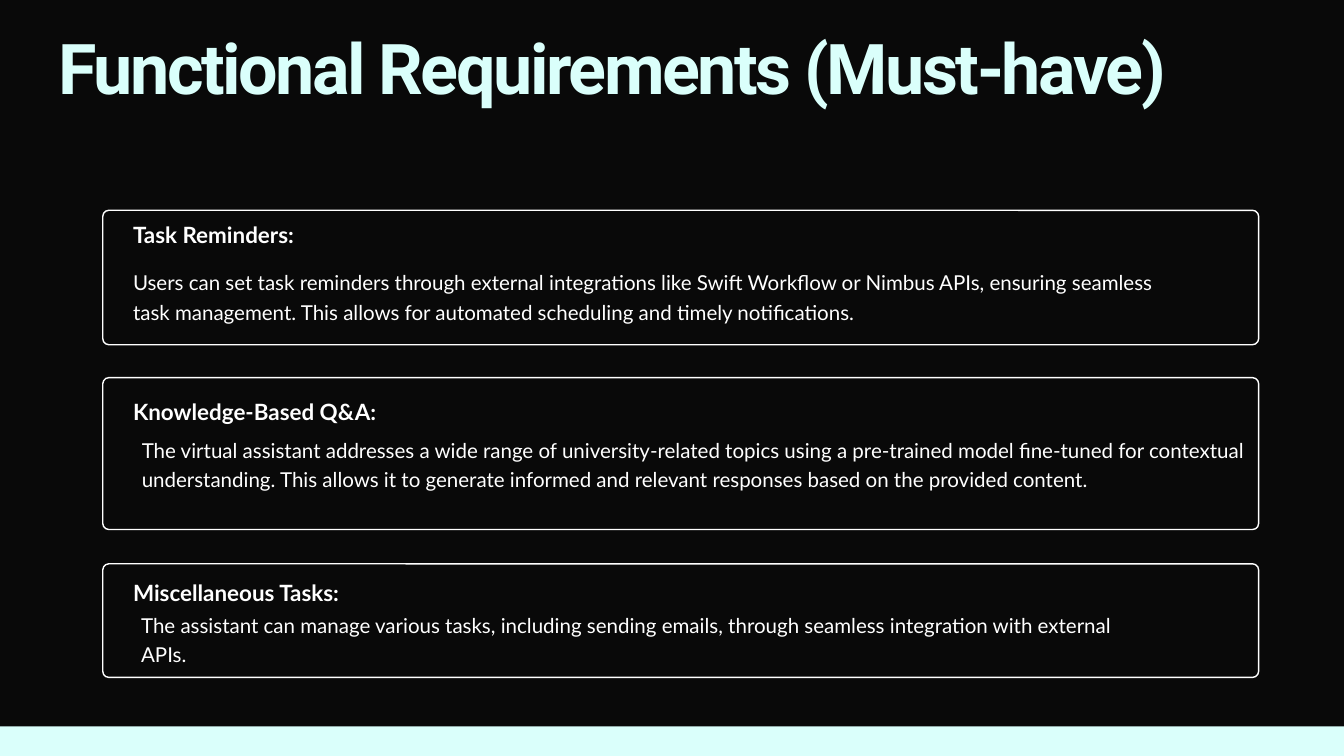
from dataclasses import dataclass

from pptx import Presentation
from pptx.dml.color import RGBColor
from pptx.enum.shapes import MSO_SHAPE
from pptx.enum.text import MSO_ANCHOR, MSO_AUTO_SIZE, PP_ALIGN
from pptx.slide import Slide
from pptx.text.text import TextFrame
from pptx.util import Inches, Pt

BACKGROUND = RGBColor(0x09, 0x09, 0x09)
MINT = RGBColor(0xDA, 0xFF, 0xFB)
WHITE = RGBColor(0xFF, 0xFF, 0xFF)

# The slide is a grid of 200 columns by 112.5 rows
SLIDE_WIDTH, SLIDE_HEIGHT = Inches(20), Inches(11.25)
COLUMN = SLIDE_WIDTH / 200
ROW = SLIDE_HEIGHT / 112.5

CARD_LEFT, CARD_WIDTH = 15.3, 172
CORNER_RADIUS = 0.9
HEADING_LEFT, HEADING_WIDTH, HEADING_HEIGHT = 19.8, 55.4, 8.9


@dataclass(frozen=True)
class Area:
    left: float
    top: float
    width: float
    height: float

    def lengths(self) -> tuple[int, int, int, int]:
        return (round(self.left * COLUMN), round(self.top * ROW),
                round(self.width * COLUMN), round(self.height * ROW))


@dataclass(frozen=True)
class TextStyle:
    font: str
    size: float
    line_spacing: float
    color: RGBColor = WHITE
    bold: bool = False


@dataclass(frozen=True)
class Requirement:
    top: float
    height: float
    heading: str
    heading_top: float
    body: str
    body_area: Area
    body_spacing: float = 30.8


REQUIREMENTS = (
    Requirement(
        31.3, 20, "Task Reminders:", 32.3,
        "Users can set task reminders through external integrations like "
        "Swift Workflow or Nimbus APIs, ensuring seamless task management. "
        "This allows for automated scheduling and timely notifications.",
        Area(19.8, 39.2, 156.7, 8.7), 33),
    Requirement(
        56.2, 22.6, "Knowledge-Based Q&A:", 58.6,
        "The virtual assistant addresses a wide range of university-related "
        "topics using a pre-trained model fine-tuned for contextual "
        "understanding. This allows it to generate informed and relevant "
        "responses based on the provided content.",
        Area(21.1, 64.6, 166.2, 12.6)),
    Requirement(
        83.9, 16.9, "Miscellaneous Tasks:", 85.5,
        "The assistant can manage various tasks, including sending emails, "
        "through seamless integration with external\nAPIs.",
        Area(21, 90.6, 168.9, 8.3)),
)


def write(frame: TextFrame, text: str, style: TextStyle) -> None:
    frame.margin_left = frame.margin_right = 0
    frame.margin_top = frame.margin_bottom = 0
    frame.word_wrap = True
    frame.auto_size = MSO_AUTO_SIZE.NONE
    frame.vertical_anchor = MSO_ANCHOR.TOP
    frame.text = text
    for paragraph in frame.paragraphs:
        paragraph.alignment = PP_ALIGN.LEFT
        paragraph.line_spacing = Pt(style.line_spacing)
        paragraph.font.name = style.font
        paragraph.font.size = Pt(style.size)
        paragraph.font.bold = style.bold
        paragraph.font.color.rgb = style.color


def add_text(slide: Slide, area: Area, text: str, style: TextStyle) -> None:
    write(slide.shapes.add_textbox(*area.lengths()).text_frame, text, style)


def add_title(slide: Slide, text: str) -> None:
    title = slide.shapes.title
    title.left, title.top, title.width, title.height = Area(8.7, 6.6, 181.5, 11.6).lengths()
    write(title.text_frame, text, TextStyle("Roboto", 75, 69, MINT, True))
    # Tighten the letter spacing by 2.6 points
    for run in title.text_frame.paragraphs[0].runs:
        run.font._element.set("spc", "-260")


def add_bottom_band(slide: Slide) -> None:
    area = Area(0, 108.1, 200, 4.4)
    band = slide.shapes.add_shape(MSO_SHAPE.RECTANGLE, *area.lengths())
    band.shadow.inherit = False
    band.fill.solid()
    band.fill.fore_color.rgb = MINT
    band.line.fill.background()


def add_requirement(slide: Slide, item: Requirement) -> None:
    # Outlined card
    area = Area(CARD_LEFT, item.top, CARD_WIDTH, item.height)
    card = slide.shapes.add_shape(MSO_SHAPE.ROUNDED_RECTANGLE, *area.lengths())
    card.adjustments[0] = CORNER_RADIUS / item.height
    card.shadow.inherit = False
    card.fill.background()
    card.line.color.rgb = WHITE
    card.line.width = Pt(1.5)

    # Heading and description
    heading_area = Area(HEADING_LEFT, item.heading_top, HEADING_WIDTH, HEADING_HEIGHT)
    add_text(slide, heading_area, item.heading, TextStyle("Lato", 24, 33.6, bold=True))
    add_text(slide, item.body_area, item.body, TextStyle("Lato", 22, item.body_spacing))


def main() -> None:
    presentation = Presentation()
    presentation.slide_width, presentation.slide_height = SLIDE_WIDTH, SLIDE_HEIGHT
    slide = presentation.slides.add_slide(presentation.slide_layouts.get_by_name("Title Only"))
    slide.background.fill.solid()
    slide.background.fill.fore_color.rgb = BACKGROUND

    add_title(slide, "Functional Requirements (Must-have)")
    add_bottom_band(slide)
    for requirement in REQUIREMENTS:
        add_requirement(slide, requirement)
    presentation.save("out.pptx")


if __name__ == "__main__":
    main()
